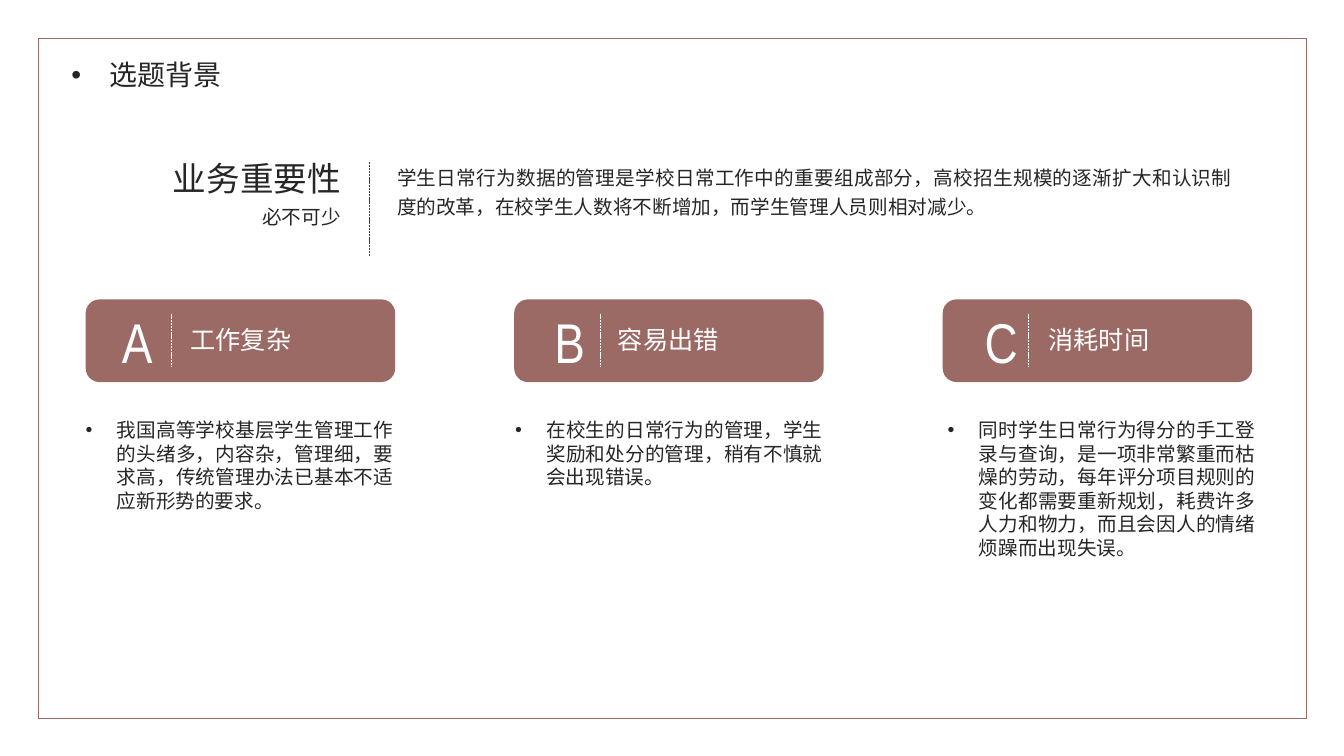
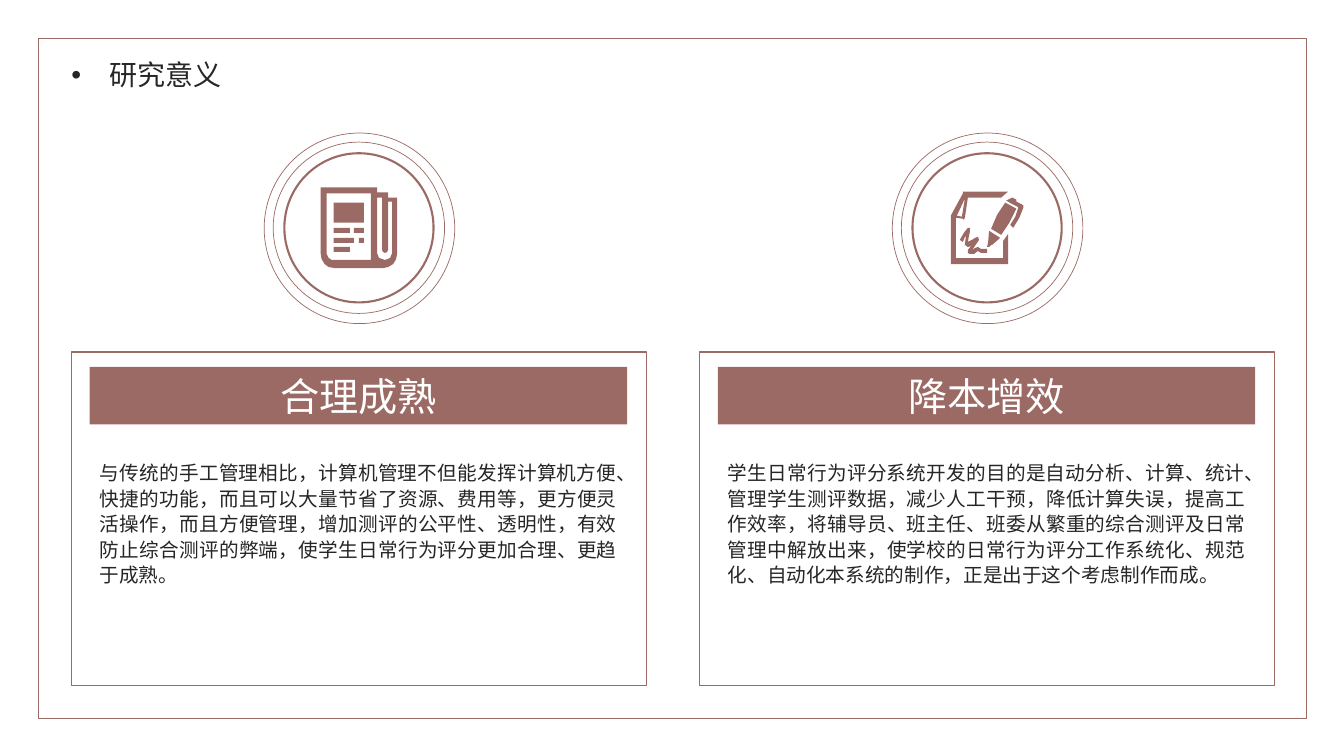
"""Build two slides on the background and significance of a student scoring system."""
from dataclasses import dataclass
from typing import Optional

from lxml import etree
from pptx import Presentation
from pptx.dml.color import RGBColor
from pptx.enum.dml import MSO_LINE
from pptx.enum.shapes import MSO_CONNECTOR, MSO_SHAPE
from pptx.enum.text import MSO_ANCHOR, PP_ALIGN
from pptx.oxml.ns import qn
from pptx.util import Emu, Pt

SCALE = 9144
ROSE = RGBColor(0x9B, 0x6A, 0x64)
INK = RGBColor(0x26, 0x26, 0x26)
GRAY = RGBColor(0x40, 0x40, 0x40)
WHITE = RGBColor(0xFF, 0xFF, 0xFF)
SANS, NARROW = "Noto Sans CJK SC", "Arial Narrow"
RECTANGLE, ROUNDED, ELLIPSE = MSO_SHAPE.RECTANGLE, MSO_SHAPE.ROUNDED_RECTANGLE, MSO_SHAPE.OVAL
LEFT, CENTER, RIGHT, JUSTIFY = PP_ALIGN.LEFT, PP_ALIGN.CENTER, PP_ALIGN.RIGHT, PP_ALIGN.JUSTIFY
TOP, MIDDLE = MSO_ANCHOR.TOP, MSO_ANCHOR.MIDDLE
STRAIGHT = MSO_CONNECTOR.STRAIGHT
SHORT_DASH = MSO_LINE.SQUARE_DOT


@dataclass(frozen=True)
class TextStyle:
    """Describe how a paragraph looks."""
    size: int
    color: RGBColor = INK
    align: PP_ALIGN = LEFT
    anchor: MSO_ANCHOR = MIDDLE
    font: str = SANS
    spacing: float = 1.0
    indent: int = 0
    wrap: bool = True


@dataclass(frozen=True)
class Card:
    """Describe a lettered card and the note below it, offsets from the card's left."""
    letter: str
    label: str
    note: str
    letter_offset: int
    label_offset: int
    note_left: int


@dataclass(frozen=True)
class Panel:
    """Describe a framed panel with its icon contours."""
    heading: str
    body: str
    icon: tuple


TITLE = TextStyle(20, align=JUSTIFY, indent=38, wrap=False)
HEADING = TextStyle(24, align=RIGHT)
SUBHEADING = TextStyle(14, align=RIGHT)
INTRO = TextStyle(14, align=JUSTIFY, anchor=TOP, spacing=1.23)
LETTER = TextStyle(40, WHITE, CENTER, font=NARROW, wrap=False)
LABEL = TextStyle(18, WHITE, wrap=False)
NOTE = TextStyle(14, align=JUSTIFY, anchor=TOP, indent=31)
BAND = TextStyle(28, WHITE, CENTER)
BODY = TextStyle(14, align=JUSTIFY, anchor=TOP, spacing=1.08)


def px(value: int) -> Emu:
    """Turn px into EMU."""
    return Emu(value * SCALE)


def block(left: int, top: int, right: int, bottom: int) -> tuple:
    """Return the corners of an upright rectangle."""
    return (left, top), (right, top), (right, bottom), (left, bottom)


NEWSPAPER = (
    ((318, 186), (374, 186), (374, 191), (385, 191), (385, 196), (394, 196), (394, 251),
     (393, 257), (390, 262), (385, 265), (380, 266), (332, 266), (326, 265), (322, 262),
     (319, 257), (318, 251)),
    ((368, 192), (324, 192), (324, 252), (326, 256), (329, 258), (368, 258)),
    ((389, 200), (385, 200), (385, 248), (384, 250), (382, 251), (380, 250), (379, 248),
     (379, 196), (374, 196), (374, 251), (376, 256), (382, 258), (387, 256), (389, 251)),
    block(331, 245, 347, 250), block(331, 236, 351, 241), block(356, 236, 361, 241),
    block(351, 226, 361, 231), block(331, 201, 361, 221), block(331, 226, 347, 231),
)
SIGNED_PAGE = (
    ((957, 190), (1000, 190), (993, 196), (960, 196), (957, 216), (956, 218), (955, 217),
     (948, 216), (948, 256), (995, 256), (995, 239), (1000, 232), (1000, 262), (943, 262),
     (943, 214), (955, 192), (955, 190)),
    ((952, 238), (955, 240), (957, 235), (958, 234), (957, 243), (960, 245), (963, 244),
     (960, 248), (960, 251), (962, 252), (966, 252), (970, 249), (973, 251), (979, 251),
     (979, 247), (973, 247), (970, 245), (967, 246), (964, 248), (967, 244), (971, 238),
     (970, 235), (967, 236), (964, 238), (960, 240), (961, 234), (962, 230), (962, 226),
     (960, 226), (956, 231)),
    ((957, 197), (949, 214), (954, 215)),
    ((981, 229), (980, 241), (979, 245), (981, 245), (983, 243), (984, 243), (992, 236)),
    ((1008, 200), (1008, 198), (1004, 196), (998, 199), (1003, 202), (1009, 205), (1010, 206),
     (1007, 215), (1002, 223), (1005, 226), (1011, 216), (1015, 206), (1015, 204), (1014, 203)),
    ((997, 201), (989, 213), (983, 227), (993, 233), (1001, 221), (1008, 207)),
)

CARDS = (
    Card("A", "工作复杂", "我国高等学校基层学生管理工作的头绪多，内容杂，管理细，要求高，"
         "传统管理办法已基本不适应新形势的要求。", 22, 94, 75),
    Card("B", "容易出错", "在校生的日常行为的管理，学生奖励和处分的管理，稍有不慎就会出现错误。",
         26, 93, 501),
    Card("C", "消耗时间", "同时学生日常行为得分的手工登录与查询，是一项非常繁重而枯燥的劳动，"
         "每年评分项目规则的变化都需要重新规划，耗费许多人力和物力，"
         "而且会因人的情绪烦躁而出现失误。", 29, 95, 930),
)
PANELS = (
    Panel("合理成熟", "与传统的手工管理相比，计算机管理不但能发挥计算机方便、快捷的功能，"
          "而且可以大量节省了资源、费用等，更方便灵活操作，而且方便管理，"
          "增加测评的公平性、透明性，有效防止综合测评的弊端，"
          "使学生日常行为评分更加合理、更趋于成熟。", NEWSPAPER),
    Panel("降本增效", "学生日常行为评分系统开发的目的是自动分析、计算、统计、管理学生测评数据，"
          "减少人工干预，降低计算失误，提高工作效率，"
          "将辅导员、班主任、班委从繁重的综合测评及日常管理中解放出来，"
          "使学校的日常行为评分工作系统化、规范化、自动化本系统的制作，"
          "正是出于这个考虑制作而成。", SIGNED_PAGE),
)
RINGS = ((148, 1.5), (170, 0.5), (189, 0.5))


def write(box, text: str, style: TextStyle) -> None:
    """Fill a shape with one styled paragraph."""
    frame = box.text_frame
    frame.word_wrap = style.wrap
    frame.vertical_anchor = style.anchor
    para = frame.paragraphs[0]
    para.alignment = style.align
    para.line_spacing = style.spacing
    span = para.add_run()
    span.text = text
    formats = {"size": Pt(style.size), "name": style.font}
    for name, value in formats.items():
        setattr(span.font, name, value)
    span.font.color.rgb = style.color
    etree.SubElement(span.font._element, qn("a:ea"), typeface=style.font)
    if style.indent:
        properties = para._p.get_or_add_pPr()
        properties.set("marL", str(px(style.indent)))
        properties.set("indent", str(px(-style.indent)))
        etree.SubElement(properties, qn("a:buFont"), typeface="Arial")
        etree.SubElement(properties, qn("a:buChar"), char="•")


def add_text(page, left: int, top: int, width: int, height: int, text: str,
             style: TextStyle) -> None:
    """Add a text box."""
    box = page.shapes.add_textbox(px(left), px(top), px(width), px(height))
    write(box, text, style)


def paint(shape, fill: Optional[RGBColor], line_width: float) -> None:
    """Set fill and outline, and drop the shadow."""
    shape.shadow.inherit = False
    if fill is None:
        shape.fill.background()
    else:
        shape.fill.solid()
        shape.fill.fore_color.rgb = fill
    if line_width:
        shape.line.color.rgb = ROSE
        shape.line.width = Pt(line_width)
    else:
        shape.line.fill.background()


def add_box(page, kind: MSO_SHAPE, left: int, top: int, width: int, height: int,
            fill: Optional[RGBColor] = None, line_width: float = 0):
    """Add a preset shape."""
    box = page.shapes.add_shape(kind, px(left), px(top), px(width), px(height))
    paint(box, fill, line_width)
    return box


def add_divider(page, left: int, top: int, bottom: int, color: RGBColor) -> None:
    """Add a dashed upright line."""
    divider = page.shapes.add_connector(STRAIGHT, px(left), px(top), px(left), px(bottom))
    divider.line.color.rgb = color
    formats = {"width": Pt(0.5), "dash_style": SHORT_DASH}
    for name, value in formats.items():
        setattr(divider.line, name, value)
    etree.SubElement(divider._element.spPr, qn("a:effectLst"))


def add_icon(page, contours: tuple) -> None:
    """Add one outline made of several closed contours."""
    builder = page.shapes.build_freeform(*contours[0][0], scale=SCALE)
    for number, contour in enumerate(contours):
        if number:
            builder.move_to(*contour[0])
        builder.add_line_segments(contour[1:], close=True)
    paint(builder.convert_to_shape(), ROSE, 0)


def add_page(deck, title: str):
    """Add a blank slide with the shared frame and title."""
    page = deck.slides.add_slide(deck.slide_layouts[6])
    add_box(page, RECTANGLE, 38, 38, 1258, 675, line_width=1)
    add_text(page, 61, 52, 202, 44, title, TITLE)
    return page


def add_card(page, card: Card, left: int) -> None:
    """Add a lettered card with its note."""
    add_box(page, ROUNDED, left, 297, 307, 82, ROSE)
    add_divider(page, left + 85, 312, 364, WHITE)
    add_text(page, left + card.letter_offset, 297, 58, 82, card.letter, LETTER)
    add_text(page, left + card.label_offset, 317, 122, 40, card.label, LABEL)
    add_text(page, card.note_left, 410, 325, 190, card.note, NOTE)


def add_panel(page, panel: Panel, left: int) -> None:
    """Add a framed panel below a ringed icon."""
    add_box(page, RECTANGLE, left, 349, 570, 331, line_width=1)
    band = add_box(page, RECTANGLE, left + 18, 364, 533, 57, ROSE)
    write(band, panel.heading, BAND)
    add_text(page, left + 18, 451, 533, 163, panel.body, BODY)
    for diameter, line_width in RINGS:
        radius = diameter // 2
        add_box(page, ELLIPSE, left + 285 - radius, 226 - radius, diameter, diameter,
                line_width=line_width)
    add_icon(page, panel.icon)


def main() -> None:
    """Build and save the deck."""
    deck = Presentation()
    deck.slide_width, deck.slide_height = px(1333), px(750)

    background = add_page(deck, "选题背景")
    add_text(background, 108, 149, 240, 56, "业务重要性", HEADING)
    add_text(background, 108, 196, 240, 38, "必不可少", SUBHEADING)
    add_divider(background, 366, 161, 254, GRAY)
    add_text(background, 384, 154, 848, 80,
             "学生日常行为数据的管理是学校日常工作中的重要组成部分，"
             "高校招生规模的逐渐扩大和认识制度的改革，在校学生人数将不断增加，"
             "而学生管理人员则相对减少。", INTRO)
    for number, card in enumerate(CARDS):
        add_card(background, card, 85 + 425 * number)

    significance = add_page(deck, "研究意义")
    for number, panel in enumerate(PANELS):
        add_panel(significance, panel, 71 + 623 * number)

    deck.save("out.pptx")


if __name__ == "__main__":
    main()
